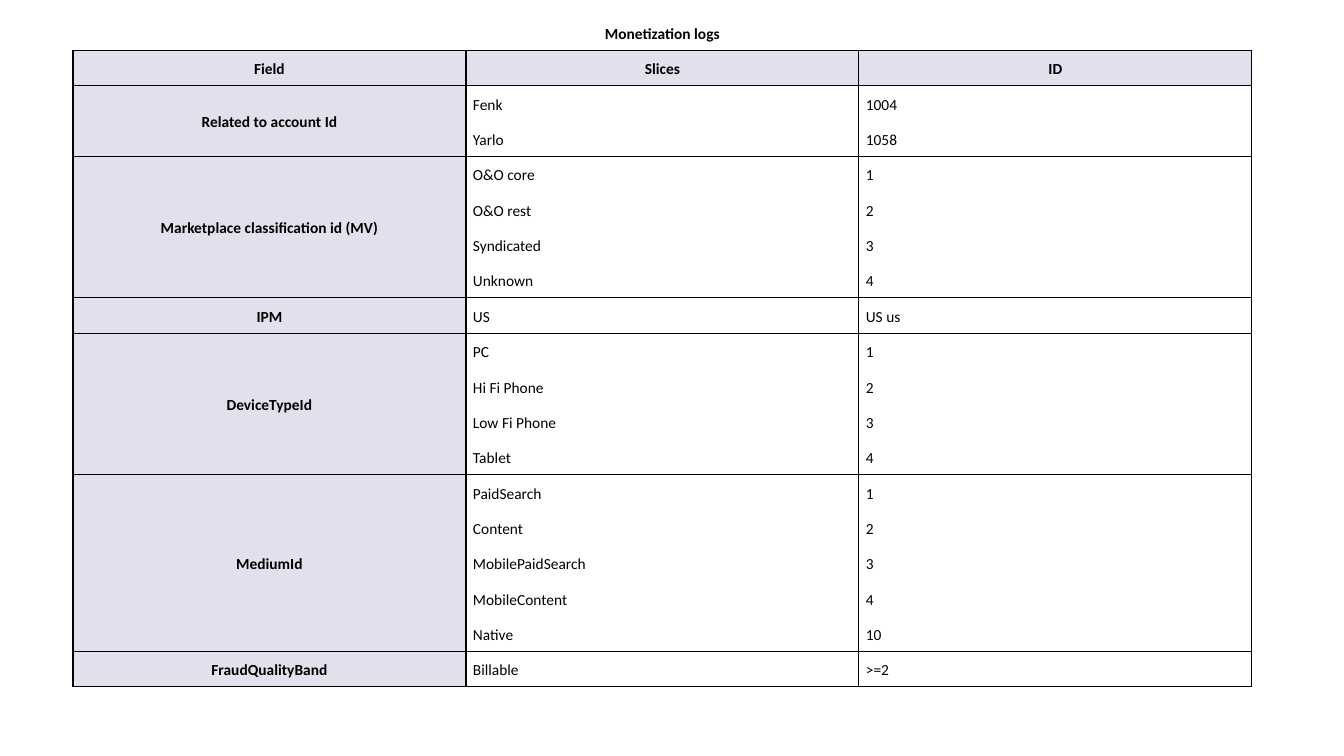
from lxml.etree import SubElement
from pptx import Presentation
from pptx.dml.color import RGBColor
from pptx.enum.text import MSO_ANCHOR as Anchor, PP_ALIGN as Align
from pptx.oxml.ns import qn
from pptx.util import Emu, Pt

PX_PER_INCH = 100.8
BLACK, LAVENDER = "000000", "E4DFEC"
TITLE = "Monetization logs"
HEADINGS = ["Field", "Slices", "ID"]
GROUPS = [
    ("Related to account Id", [("Fenk", "1004"), ("Yarlo", "1058")]),
    ("Marketplace classification id (MV)",
     [("O&O core", "1"), ("O&O rest", "2"), ("Syndicated", "3"), ("Unknown", "4")]),
    ("IPM", [("US", "US us")]),
    ("DeviceTypeId",
     [("PC", "1"), ("Hi Fi Phone", "2"), ("Low Fi Phone", "3"), ("Tablet", "4")]),
    ("MediumId",
     [("PaidSearch", "1"), ("Content", "2"), ("MobilePaidSearch", "3"),
      ("MobileContent", "4"), ("Native", "10")]),
    ("FraudQualityBand", [("Billable", ">=2")]),
]
TABLE_LEFT, TABLE_TOP, COLUMN_WIDTH = 73, 15, 393
FILLED_HEIGHT, EMPTY_HEIGHTS = 672, (35, 33)
FILLED_ROWS = 2 + sum(len(slices) for _, slices in GROUPS)


def px(count):
    return Emu(round(count * 914400 / PX_PER_INCH))


def color(value):
    return RGBColor.from_string(value)


def style_cell(cell, sides="", fill=None):
    """Draw the named sides (L, R, T, B), hide the others, and set the fill."""
    cell.margin_left = cell.margin_right = px(7)
    cell.margin_top = cell.margin_bottom = 0
    cell.vertical_anchor = Anchor.MIDDLE
    props = cell._tc.get_or_add_tcPr()
    for side in "LRTB":
        line = SubElement(props, qn(f"a:ln{side}"), w=str(Pt(1)))
        if side in sides:
            solid = SubElement(line, qn("a:solidFill"))
            SubElement(solid, qn("a:srgbClr"), val=BLACK)
        else:
            SubElement(line, qn("a:noFill"))
    if fill:
        cell.fill.solid()
        cell.fill.fore_color.rgb = color(fill)
    else:
        cell.fill.background()


def write(cell, text, label=False):
    """Write one line; labels are bold and centred."""
    para = cell.text_frame.paragraphs[0]
    para.alignment = Align.CENTER if label else Align.LEFT
    para.line_spacing = 1.15
    span = para.add_run()
    span.text = text
    span.font.name, span.font.size = "Calibri", Pt(11)
    span.font.bold = label
    span.font.color.rgb = color(BLACK)


def add_log_table(page):
    row_count = FILLED_ROWS + len(EMPTY_HEIGHTS)
    table = page.shapes.add_table(
        row_count, 3, px(TABLE_LEFT), px(TABLE_TOP), px(3 * COLUMN_WIDTH),
        px(FILLED_HEIGHT + sum(EMPTY_HEIGHTS))).table
    table.first_row = table.horz_banding = False
    for column in table.columns:
        column.width = px(COLUMN_WIDTH)
    for index, row in enumerate(table.rows):
        if index < FILLED_ROWS:
            row.height = px(FILLED_HEIGHT) // FILLED_ROWS
        else:
            row.height = px(EMPTY_HEIGHTS[index - FILLED_ROWS])
    return table


def add_band(table, row, sides):
    """Style a row that has no group; join its cells."""
    for col in range(3):
        style_cell(table.cell(row, col), sides)
    table.cell(row, 0).merge(table.cell(row, 2))


def add_group(table, top, name, slices):
    last = len(slices) - 1
    for offset, values in enumerate(slices):
        sides = "LR" + "T" * (offset == 0) + "B" * (offset == last)
        style_cell(table.cell(top + offset, 0), sides, LAVENDER)
        for col, value in enumerate(values, 1):
            cell = table.cell(top + offset, col)
            style_cell(cell, sides)
            write(cell, value)
    field = table.cell(top, 0)
    if last:
        field.merge(table.cell(top + last, 0))
    write(field, name, label=True)


def main():
    deck = Presentation()
    deck.slide_width, deck.slide_height = px(1344), px(756)
    page = deck.slides.add_slide(deck.slide_layouts[6])
    table = add_log_table(page)

    add_band(table, 0, "B")
    write(table.cell(0, 0), TITLE, label=True)
    for col, heading in enumerate(HEADINGS):
        style_cell(table.cell(1, col), "LRTB", LAVENDER)
        write(table.cell(1, col), heading, label=True)

    top = 2
    for name, slices in GROUPS:
        add_group(table, top, name, slices)
        top += len(slices)

    for col in range(3):
        style_cell(table.cell(top, col), "T")
    add_band(table, top + 1, "")
    deck.save("out.pptx")


if __name__ == "__main__":
    main()
